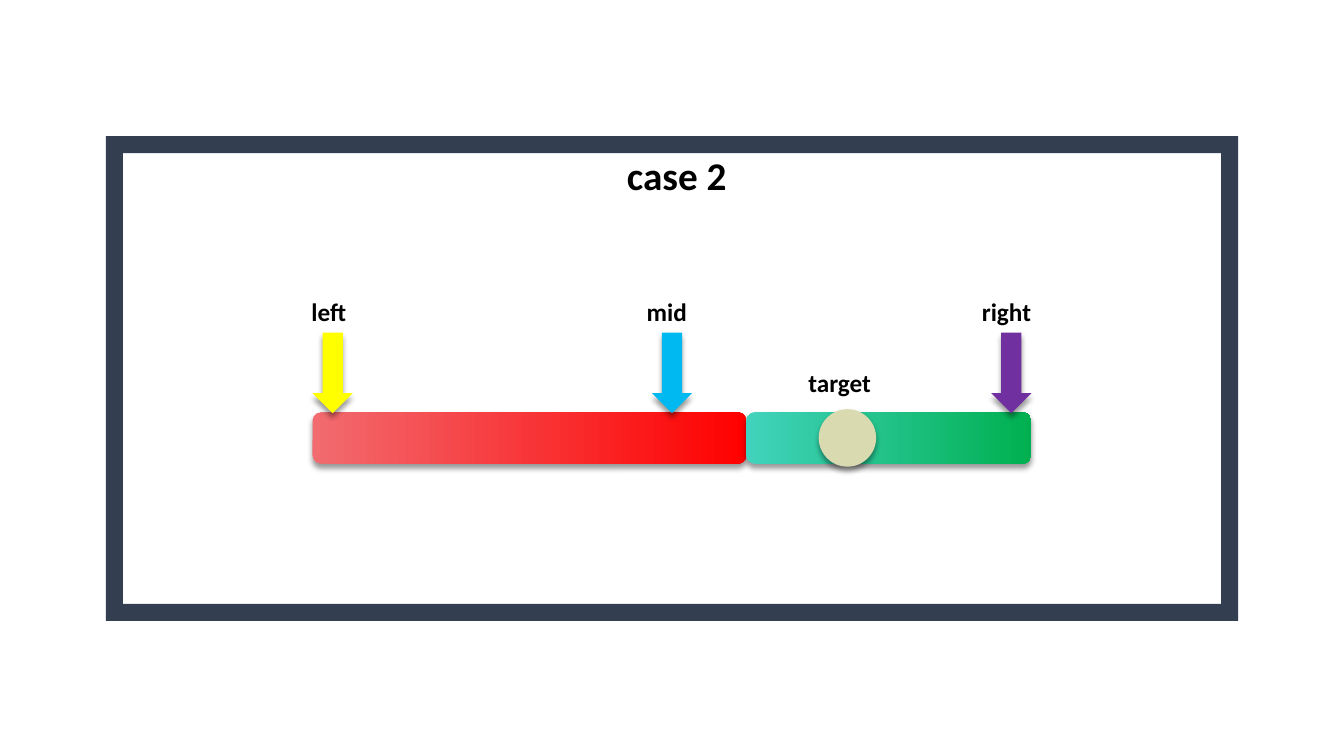
from lxml.etree import SubElement
from pptx import Presentation
from pptx.dml.color import RGBColor
from pptx.enum.shapes import MSO_SHAPE
from pptx.oxml.ns import qn
from pptx.util import Inches, Pt

BLACK = RGBColor(0x00, 0x00, 0x00)
SLATE = RGBColor(0x33, 0x3F, 0x50)
YELLOW = RGBColor(0xFF, 0xFF, 0x00)
BLUE = RGBColor(0x00, 0xB9, 0xF1)
PURPLE = RGBColor(0x70, 0x30, 0xA0)
SAND = RGBColor(0xD9, 0xDA, 0xB0)
PINK = RGBColor(0xF1, 0x6B, 0x6F)
RED = RGBColor(0xFF, 0x00, 0x00)
TEAL = RGBColor(0x41, 0xD3, 0xBD)
GREEN = RGBColor(0x00, 0xB0, 0x50)


def add_shadow(sp):
    """Cast a soft black shadow straight down from the shape."""
    effects = sp._element.spPr.find(qn("a:effectLst"))
    shadow = SubElement(effects, qn("a:outerShdw"), blurRad=str(Pt(4)),
                        dist=str(Pt(3)), dir="5400000", rotWithShape="0")
    color = SubElement(shadow, qn("a:srgbClr"), val=str(BLACK))
    SubElement(color, qn("a:alpha"), val="40000")


def add_block(shapes, kind, box, colors, shadow=True):
    """Add a shape without outline, filled plain or with a gradient of two colours."""
    sp = shapes.add_shape(kind, *map(Inches, box))
    sp.shadow.inherit = False
    sp.line.fill.background()
    if len(colors) == 1:
        sp.fill.solid()
        sp.fill.fore_color.rgb = colors[0]
    else:
        sp.fill.gradient()
        sp.fill.gradient_angle = 0
        for stop, color in zip(sp.fill.gradient_stops, colors):
            stop.color.rgb = color
    if shadow:
        add_shadow(sp)
    return sp


def add_label(shapes, text, box, size=18):
    """Add a bold black label."""
    tf = shapes.add_textbox(*map(Inches, box)).text_frame
    tf.word_wrap = True
    r = tf.paragraphs[0].add_run()
    r.text = text
    font_format = {"name": "Calibri", "size": Pt(size), "bold": True}
    for name, value in font_format.items():
        setattr(r.font, name, value)
    r.font.color.rgb = BLACK


def add_panel(shapes, x, y, w, h):
    """Draw the frame with the case title inside its top edge."""
    sp = add_block(shapes, MSO_SHAPE.FRAME, (x, y, w, h), [SLATE], shadow=False)
    sp.adjustments[0] = 0.035
    add_label(shapes, "case 2", (x + 5.07, y + 0.1, 1.49, 0.57), 28)


def add_range_bar(shapes, x, y, w, h):
    """Draw the searched range as a red part and a green part."""
    group = shapes.add_group_shape().shapes
    red_w = 4.3
    parts = [(x, red_w, [PINK, RED]), (x + red_w, w - red_w, [TEAL, GREEN])]
    for left, width, colors in parts:
        add_block(group, MSO_SHAPE.ROUNDED_RECTANGLE, (left, y, width, h), colors)


def add_pointers(shapes, x, y, w, h):
    """Stand three labelled arrows at equal gaps across the box."""
    length, thick = 0.8, 0.4
    pointers = [("left", YELLOW, 0.31, 0.62), ("mid", BLUE, 0.35, 0.7),
                ("right", PURPLE, 0.39, 0.79)]
    gap = (w - thick) / (len(pointers) - 1)
    for i, (text, color, offset, width) in enumerate(pointers):
        center = x + thick / 2 + i * gap
        box = (center - length / 2, y + h - (length + thick) / 2, length, thick)
        add_block(shapes, MSO_SHAPE.RIGHT_ARROW, box, [color]).rotation = 90
        add_label(shapes, text, (center - offset, y, width, 0.4))


def add_target(shapes, x, y, w, h):
    """Draw the target disc under its label."""
    group = shapes.add_group_shape().shapes
    size = 0.57
    add_block(group, MSO_SHAPE.OVAL, (x + 0.2, y + h - size, size, size), [SAND])
    add_label(group, "target", (x, y, w, 0.4))


def main():
    """Build the slide and save it."""
    prs = Presentation()
    prs.slide_width, prs.slide_height = Inches(13.33), Inches(7.5)
    shapes = prs.slides.add_slide(prs.slide_layouts[6]).shapes
    add_range_bar(shapes, 3.1, 4.09, 7.13, 0.51)
    add_pointers(shapes, 3.1, 2.89, 7.13, 1.21)
    add_panel(shapes, 1.05, 1.35, 11.23, 4.81)
    add_target(shapes, 7.92, 3.59, 0.98, 1.04)
    prs.save("out.pptx")


if __name__ == "__main__":
    main()
